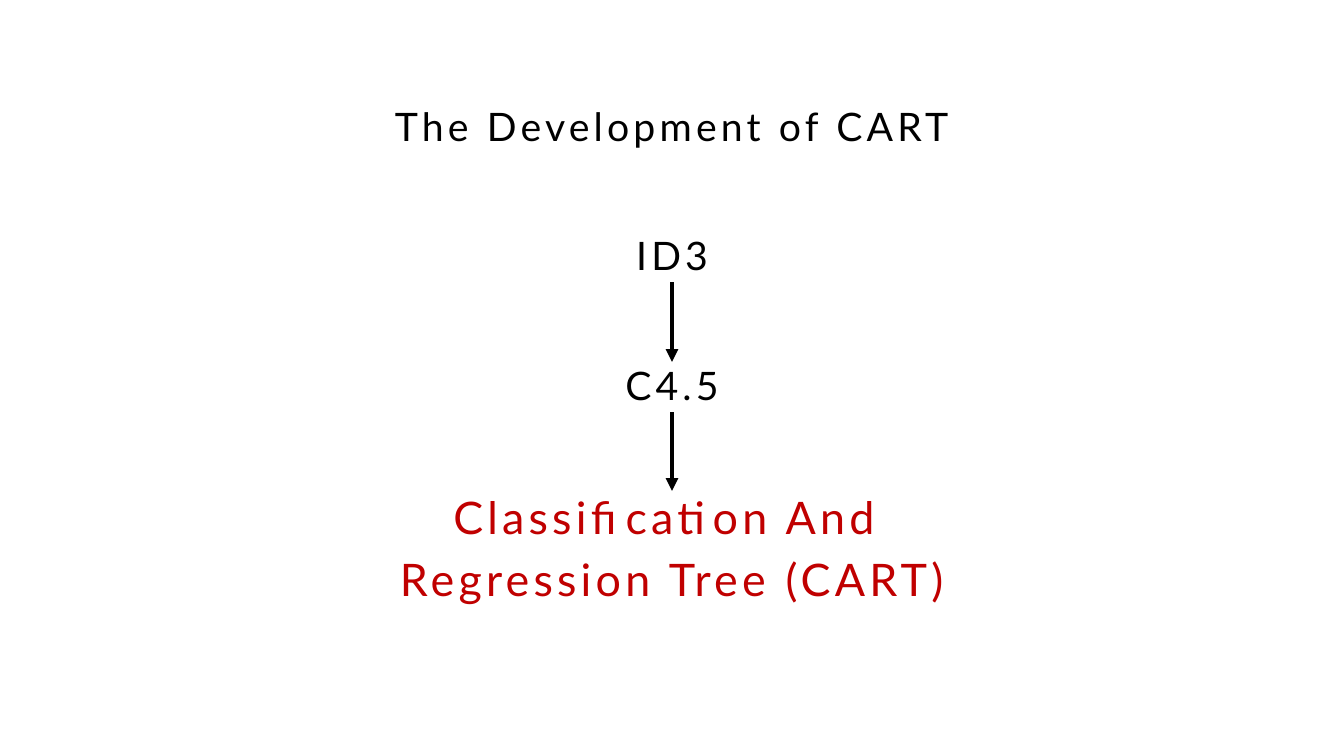
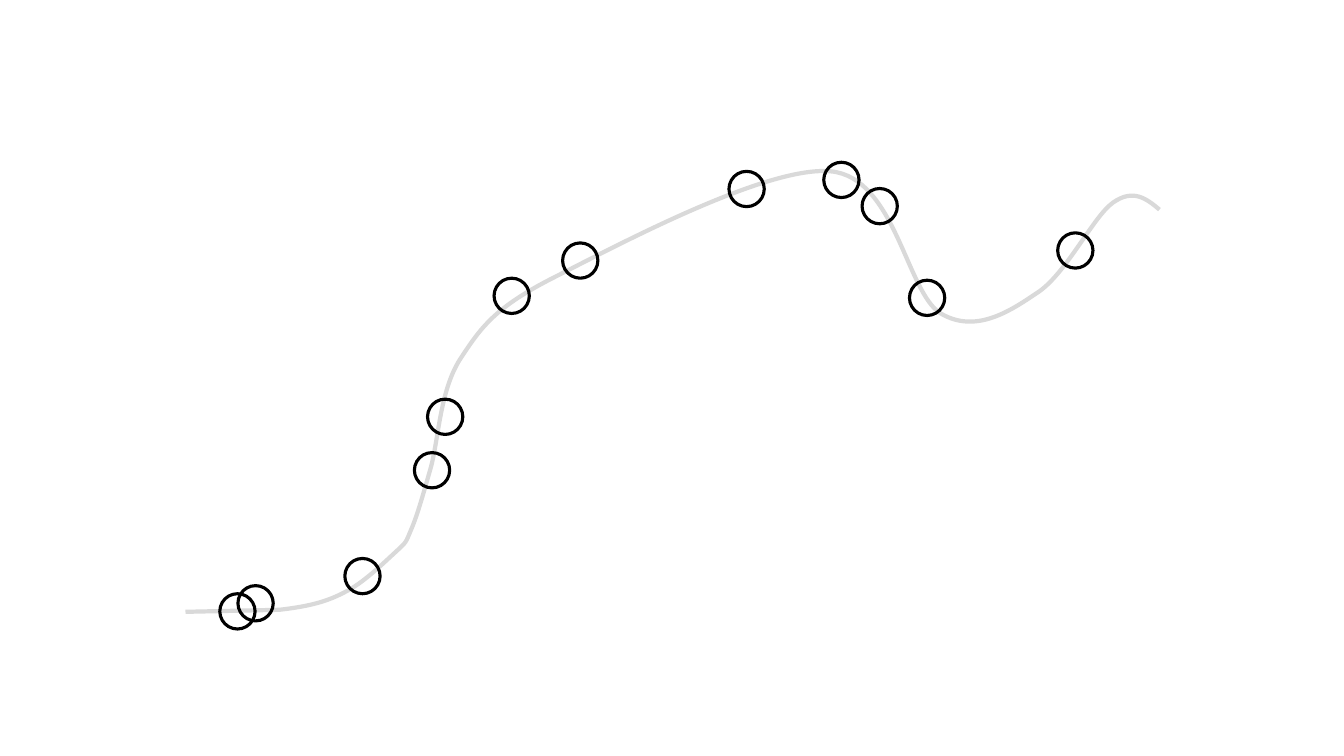
"""Build two slides: the CART family of trees, and points along a curve."""
from dataclasses import dataclass

from lxml import etree
from pptx import Presentation
from pptx import util as u
from pptx.dml.color import RGBColor
from pptx.enum import shapes, text
from pptx.oxml.ns import qn


@dataclass(frozen=True)
class Theme:
    """Hold the sizes, colours and type shared by the slides."""
    wide: float = 13.33
    high: float = 7.5
    font: str = "Lato"
    ink: str = "000000"
    red: str = "C00000"
    grey: str = "D9D9D9"
    size: int = 28
    large: int = 32
    track: int = 300
    lead: float = 0.9
    gap: int = 10
    bold: float = 3
    ring: float = 2.25


T = Theme()

STEPS = [
    (2.3, 5.52, ["ID3"], T.size, T.ink),
    (3.59, 5.52, ["C4.5"], T.size, T.ink),
    (4.87, 11.48, ["Classification And ", "Regression Tree (CART)"], T.large, T.red),
]

START = [(1.84, 6.07), (2.77, 6.05)]
BENDS = [
    ((3.03, 6.02), (3.22, 5.98), (3.41, 5.88)),
    ((3.6, 5.79), (3.81, 5.58), (3.92, 5.48)),
    ((4.04, 5.37), (4.02, 5.39), (4.08, 5.25)),
    ((4.14, 5.11), (4.19, 4.93), (4.27, 4.65)),
    ((4.35, 4.37), (4.36, 3.89), (4.56, 3.57)),
    ((4.77, 3.25), (4.9, 3.05), (5.52, 2.74)),
    ((6.13, 2.43), (7.61, 1.64), (8.24, 1.7)),
    ((8.88, 1.76), (8.99, 2.9), (9.33, 3.11)),
    ((9.67, 3.31), (10, 3.1), (10.28, 2.91)),
    ((10.57, 2.73), (10.84, 2.15), (11.04, 2.01)),
    ((11.24, 1.87), (11.37, 1.97), (11.5, 2.08)),
]

SIDE = 0.35
DOTS = [
    (2.18, 5.89), (2.36, 5.81), (3.42, 5.54), (4.11, 4.49),
    (4.24, 3.96), (4.9, 2.76), (5.58, 2.41), (7.23, 1.7),
    (8.17, 1.61), (8.55, 1.87), (9.02, 2.78), (10.49, 2.31),
]


def place(shape, top, width, height):
    """Centre a shape across the slide."""
    shape.left, shape.top = u.Inches((T.wide - width) / 2), u.Inches(top)
    shape.width, shape.height = u.Inches(width), u.Inches(height)


def write(shape, lines, size, color):
    """Fill a shape with centred, widely tracked lines."""
    frame = shape.text_frame
    frame.text = "\n".join(lines)
    frame.word_wrap = True
    frame.auto_size = text.MSO_AUTO_SIZE.NONE
    frame.vertical_anchor = text.MSO_ANCHOR.TOP
    for i, para in enumerate(frame.paragraphs):
        para.alignment = text.PP_ALIGN.CENTER
        para.line_spacing = T.lead
        para.space_before = u.Pt(T.gap if i else 0)
        for run in para.runs:
            run.font.name = T.font
            run.font.size = u.Pt(size)
            run.font.color.rgb = RGBColor.from_string(color)
            run.font._element.set("spc", str(T.track))


def stroke(shape, color, width):
    """Set the line of a shape or connector."""
    shape.line.color.rgb = RGBColor.from_string(color)
    shape.line.width = u.Pt(width)


def outline(shape, color, width):
    """Leave only the outline of a shape."""
    shape.shadow.inherit = False
    shape.fill.background()
    stroke(shape, color, width)


def label(slide, top, width, lines, size, color):
    """Add one step of the chain."""
    box = slide.shapes.add_textbox(0, 0, 0, 0)
    place(box, top, width, 0.5)
    write(box, lines, size, color)
    return box


def arrow(slide, upper, lower):
    """Join two boxes with a downward arrow."""
    link = slide.shapes.add_connector(shapes.MSO_CONNECTOR.STRAIGHT, 0, 0, 0, 0)
    link.begin_connect(upper, 2)
    link.end_connect(lower, 0)
    stroke(link, T.ink, T.bold)
    etree.SubElement(link.line._get_or_add_ln(), qn("a:tailEnd"), type="triangle")
    etree.SubElement(link._element.spPr, qn("a:effectLst"))


def curve(slide, start, bends):
    """Draw an open path whose bends are cubic curves."""
    knots = [*start, *(bend[-1] for bend in bends)]
    first, *rest = [(u.Inches(x), u.Inches(y)) for x, y in knots]
    pen = slide.shapes.build_freeform(*first)
    pen.add_line_segments(rest, close=False)
    line = pen.convert_to_shape()
    outline(line, T.grey, T.bold)
    parts = line._element.findall(".//" + qn("a:lnTo"))[len(start) - 1:]
    for part, bend in zip(parts, bends):
        part.tag = qn("a:cubicBezTo")
        for i, (x, y) in enumerate(bend[:-1]):
            spot = etree.Element(qn("a:pt"), x=str(u.Inches(x) - line.left),
                                 y=str(u.Inches(y) - line.top))
            part.insert(i, spot)


def dot(slide, left, top):
    """Add a hollow circle."""
    side = u.Inches(SIDE)
    ring = slide.shapes.add_shape(
        shapes.MSO_SHAPE.OVAL, u.Inches(left), u.Inches(top), side, side)
    outline(ring, T.ink, T.ring)


def chain(deck):
    """Build the slide on the development of CART."""
    slide = deck.slides.add_slide(deck.slide_layouts.get_by_name("Title Only"))
    title = slide.shapes.title
    place(title, 1.02, 11.22, 1.2)
    write(title, ["The Development of CART"], T.size, T.ink)
    boxes = [label(slide, *step) for step in STEPS]
    for upper, lower in zip(boxes, boxes[1:]):
        arrow(slide, upper, lower)


def scatter(deck):
    """Build the slide with points around a curve."""
    slide = deck.slides.add_slide(deck.slide_layouts.get_by_name("Blank"))
    curve(slide, START, BENDS)
    for spot in DOTS:
        dot(slide, *spot)


def main():
    """Build and save the deck."""
    deck = Presentation()
    deck.slide_width, deck.slide_height = u.Inches(T.wide), u.Inches(T.high)
    chain(deck)
    scatter(deck)
    deck.save("out.pptx")


if __name__ == "__main__":
    main()
